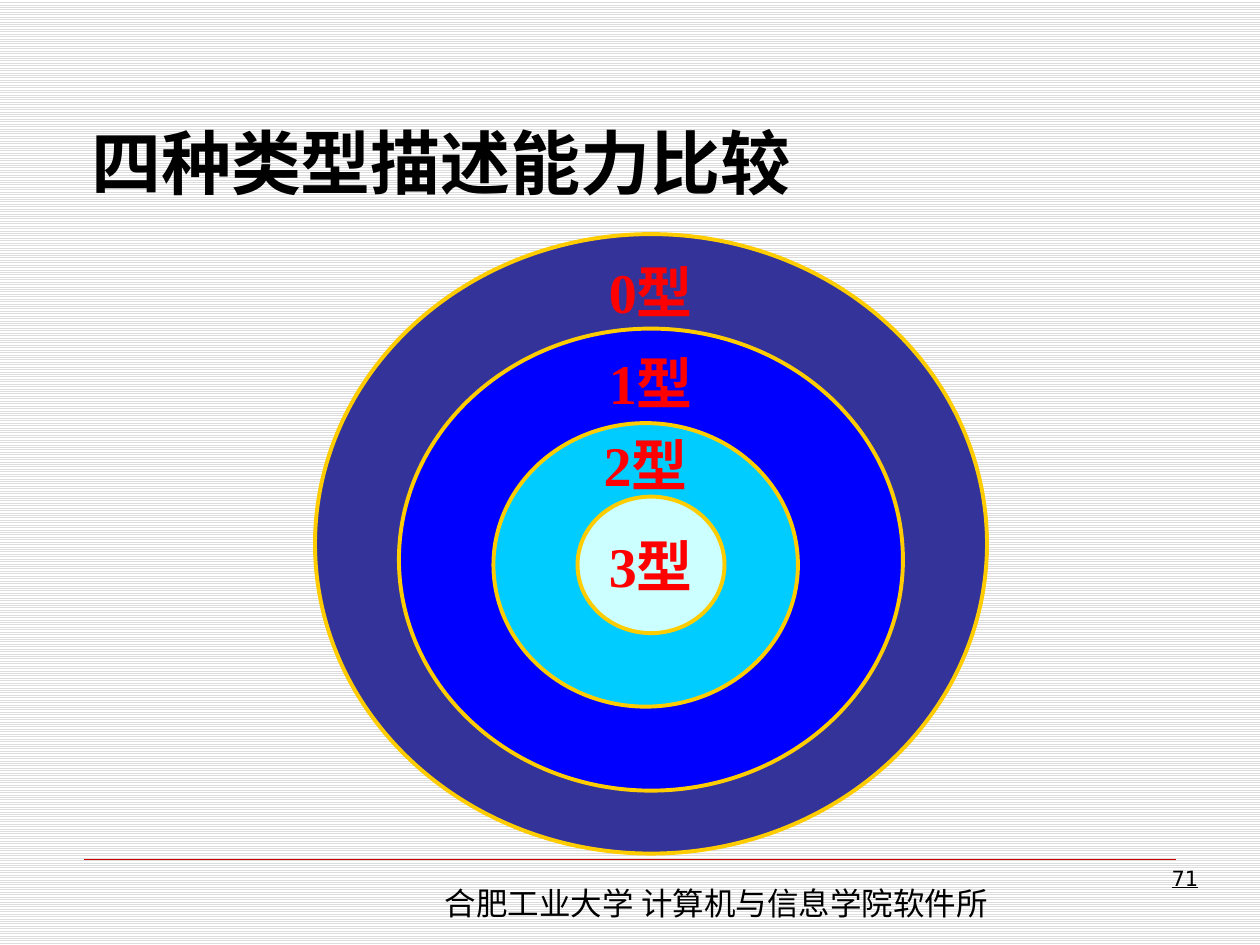
from pptx import Presentation, util as u
from pptx.dml.color import RGBColor
from pptx.enum import dml, shapes, text
from pptx.oxml.ns import qn
from lxml import etree

CELL = u.Inches(1) / 12  # the slide is a grid of 120 columns by 90 rows
CJK = "Noto Sans CJK SC"


def grid(*cells):
    return [u.Emu(round(cell * CELL)) for cell in cells]


def color(value):
    return RGBColor.from_string(value)


def write(frame, words, size, font=CJK, fill="000000", bold=False,
          underline=False, align=text.PP_ALIGN.LEFT):
    paragraph = frame.paragraphs[0]
    paragraph.alignment = align
    run = paragraph.add_run()
    run.text = words
    run.font.size = u.Pt(size)
    run.font.name = font
    run.font.bold = bold
    run.font.underline = underline
    run.font.color.rgb = color(fill)
    east_asian = etree.SubElement(run.font._element, qn("a:ea"))
    east_asian.set("typeface", CJK)


class Deck:
    outline = "FFCC00"
    outline_width = 2.25
    rule = "CC0000"

    def __init__(self):
        self.presentation = Presentation()
        self.presentation.slide_width, self.presentation.slide_height = grid(120, 90)
        self.slide = None

    def add_slide(self):
        self.slide = self.presentation.slides.add_slide(
            self.presentation.slide_layouts[6])
        fill = self.slide.background.fill
        fill.patterned()
        fill.pattern = dml.MSO_PATTERN.LIGHT_HORIZONTAL
        fill.fore_color.rgb = color("DDDDDD")
        fill.back_color.rgb = color("FFFFFF")

    def textbox(self, box, words, size, anchor=text.MSO_ANCHOR.TOP, **style):
        frame = self.slide.shapes.add_textbox(*grid(*box)).text_frame
        frame.word_wrap = True
        frame.vertical_anchor = anchor
        write(frame, words, size, **style)

    def ellipse(self, box, fill):
        shape = self.slide.shapes.add_shape(shapes.MSO_SHAPE.OVAL, *grid(*box))
        shape.shadow.inherit = False
        shape.fill.solid()
        shape.fill.fore_color.rgb = color(fill)
        shape.line.color.rgb = color(self.outline)
        shape.line.width = u.Pt(self.outline_width)

    def line(self, left, right, row):
        connector = self.slide.shapes.add_connector(
            shapes.MSO_CONNECTOR.STRAIGHT, *grid(left, row, right, row))
        connector.line.color.rgb = color(self.rule)
        connector.line.width = u.Pt(0.25)
        etree.SubElement(connector._element.spPr, qn("a:effectLst"))


def main():
    deck = Deck()
    deck.add_slide()

    # Footer rule and institute
    deck.line(8, 112, 81.8)
    deck.textbox((41.2, 83.6, 58.6, 4.8), "合肥工业大学 计算机与信息学院软件所", 18)

    # Title
    deck.textbox((7.5, 4, 105, 16), "四种类型描述能力比较", 40,
                 anchor=text.MSO_ANCHOR.BOTTOM, bold=True)

    # Nested grammar types, outermost first: box, fill, row of the label's centre
    grammar_types = [
        ((30, 22.3, 64, 59), "333399", 27.7),
        ((38, 31.3, 48, 44), "0000FF", 36.4),
        ((47, 40.3, 29, 27), "00CCFF", 44.2),
        ((55, 47.3, 14, 13), "CCFFFF", 53.8),
    ]
    label_height = 7
    for number, (box, fill, center) in enumerate(grammar_types):
        deck.ellipse(box, fill)
        left, _, width, _ = box
        deck.textbox((left, center - label_height / 2, width, label_height),
                     f"{number}型", 32, anchor=text.MSO_ANCHOR.MIDDLE,
                     font="Times New Roman", fill="FF0000", bold=True,
                     align=text.PP_ALIGN.CENTER)

    # Page number
    deck.textbox((89.3, 81.8, 26, 6.2), "71", 12, font="DejaVu Sans",
                 underline=True, align=text.PP_ALIGN.RIGHT)

    deck.presentation.save("out.pptx")


if __name__ == "__main__":
    main()
